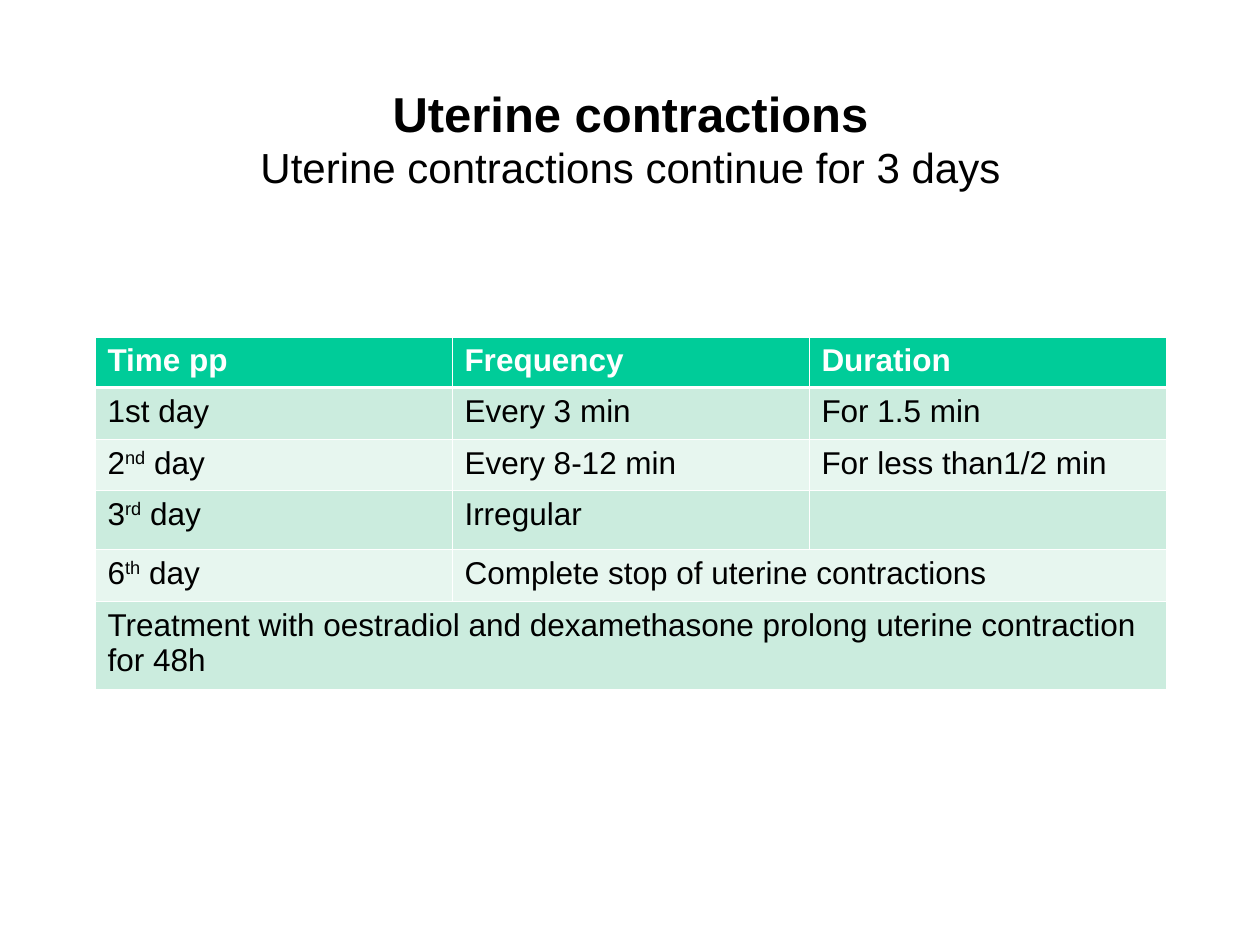
from lxml import etree
from pptx import Presentation
from pptx.dml.color import RGBColor
from pptx.enum.text import MSO_ANCHOR, PP_ALIGN
from pptx.oxml.ns import qn
from pptx.util import Pt

PX = 914400 // 126
CENTER, TOP = PP_ALIGN.CENTER, MSO_ANCHOR.TOP


def style(r, size, color, bold=False):
    r.font.name = "Arial"
    r.font.size = Pt(size)
    r.font.bold = bold
    r.font.color.rgb = RGBColor.from_string(color)


def border(cell, side, width):
    ln = etree.SubElement(cell._tc.get_or_add_tcPr(), qn("a:ln" + side), w=str(Pt(width)))
    fill = etree.SubElement(ln, qn("a:solidFill"))
    etree.SubElement(fill, qn("a:srgbClr"), val="FFFFFF")


prs = Presentation()
prs.slide_width, prs.slide_height = 1260 * PX, 945 * PX
s = prs.slides.add_slide(prs.slide_layouts[6])

# Title and subtitle
tf = s.shapes.add_textbox(95 * PX, 53 * PX, 1071 * PX, 157 * PX).text_frame
tf.word_wrap = True
tf.vertical_anchor = TOP
tf.margin_top = 30 * PX
tf.text = "Uterine contractions\nUterine contractions continue for 3 days"
for p, size, bold in zip(tf.paragraphs, (28, 24), (True, False)):
    p.alignment = CENTER
    style(p.runs[0], size, "000000", bold)

# Table: a "^" pair encloses a superscript
rows = [
    ["Time pp", "Frequency", "Duration"],
    ["1st day", "Every 3 min", "For 1.5 min"],
    ["2^nd^ day", "Every 8-12 min", "For less than1/2 min"],
    ["3^rd^ day", "Irregular", ""],
    ["6^th^ day", "Complete stop of uterine contractions", ""],
    ["Treatment with oestradiol and dexamethasone prolong uterine contraction for 48h", "", ""],
]
heights = [50, 52, 51, 59, 52, 88]
table = s.shapes.add_table(len(rows), 3, 95 * PX, 337 * PX, 1071 * PX, sum(heights) * PX).table
for col in table.columns:
    col.width = 357 * PX

for i, (texts, height) in enumerate(zip(rows, heights)):
    table.rows[i].height = height * PX
    header = i == 0
    fill = "00CC99" if header else ("E7F6EF", "CBECDE")[i % 2]
    for j, text in enumerate(texts):
        cell = table.cell(i, j)
        for side in "LRTB":
            thick = (i, side) in ((0, "B"), (1, "T"))
            border(cell, side, 1.47 if thick else 0.45)
        cell.fill.solid()
        cell.fill.fore_color.rgb = RGBColor.from_string(fill)
        if not text:
            continue
        p = cell.text_frame.paragraphs[0]
        for k, part in enumerate(text.split("^")):
            r = p.add_run()
            r.text = part
            style(r, 18, "FFFFFF" if header else "000000", header)
            if k == 1:
                r.font._element.set("baseline", "30000")

# Cells that span columns
table.cell(4, 1).merge(table.cell(4, 2))
table.cell(5, 0).merge(table.cell(5, 2))

prs.save("out.pptx")
